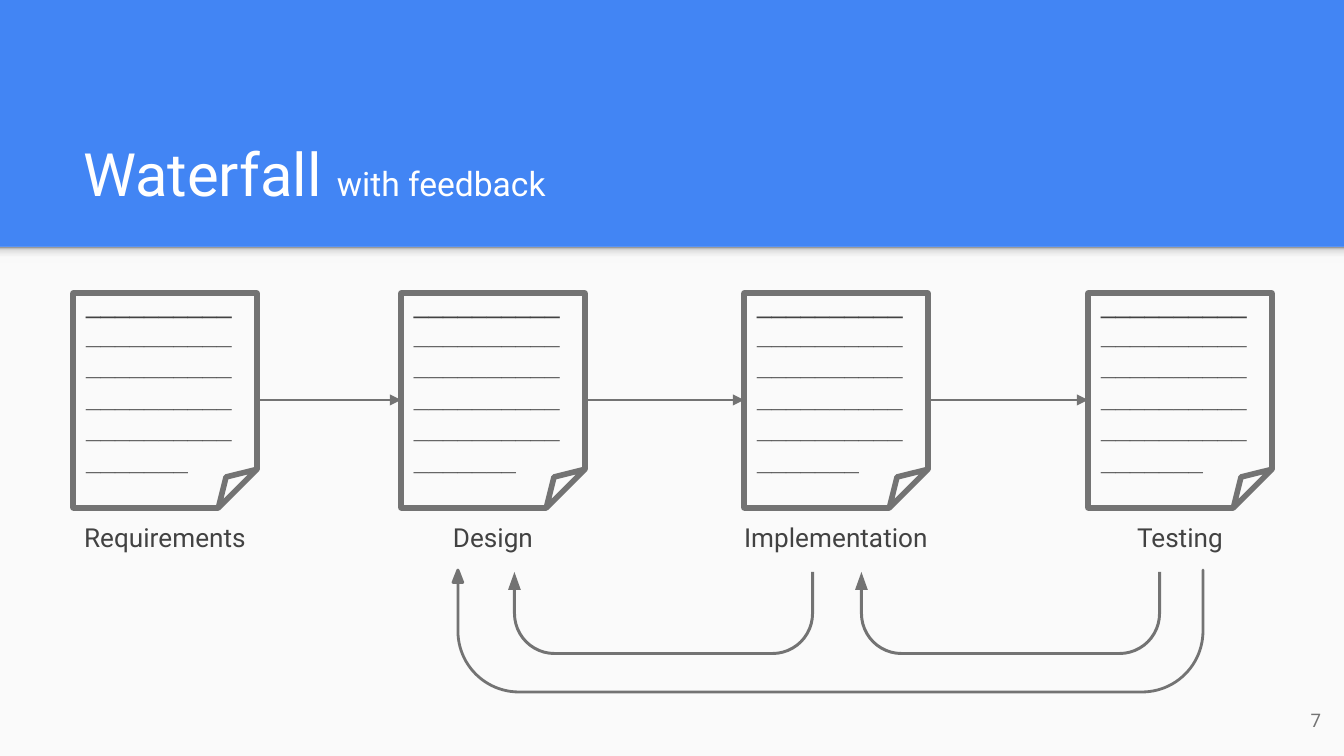
from copy import deepcopy
from itertools import pairwise

from pptx import Presentation
from pptx.dml.color import RGBColor
from pptx.enum.shapes import MSO_CONNECTOR as Link, MSO_SHAPE as Kind
from pptx.enum.text import MSO_ANCHOR as Anchor, MSO_AUTO_SIZE as Auto, PP_ALIGN as Align
from pptx.oxml.ns import qn
from pptx.oxml.xmlchemy import OxmlElement as Node
from pptx.util import Pt

PX = 914400 / 134.4
BLUE = RGBColor(0x42, 0x85, 0xF4)
PAPER = RGBColor(0xFA, 0xFA, 0xFA)
WHITE = RGBColor(0xFF, 0xFF, 0xFF)
GREY = RGBColor(0x73, 0x73, 0x73)
INK = RGBColor(0x42, 0x42, 0x42)
PALE = RGBColor(0xF9, 0xF9, 0xF9)
MIST = RGBColor(0xDE, 0xDE, 0xDE)
SHADE = RGBColor(0x99, 0x99, 0x99)

WIDE, HIGH = 1344, 756
DOC_W, DOC_H = 184, 215
STEPS = [
    (73, "Requirements", 207),
    (401, "Design", 207),
    (744, "Implementation", 238),
    (1088, "Testing", 207),
]
SMALL = {"adj1": 3600, "adj2": 7700, "adj3": 21600, "adj4": 50000, "adj5": 100000}
LARGE = {**SMALL, "adj1": 0, "adj2": 4000, "adj3": 10200}
LOOPS = [
    ((508, 572, 306, 83), SMALL, None),
    ((855, 572, 306, 83), SMALL, None),
    ((453, 570, 750, 122), LARGE, 1.5),
]


def emu(*vals):
    """Turn px into EMU."""
    return [round(v * PX) for v in vals]


def write(shape, *runs, font="Roboto", color=INK, align=Align.LEFT, anchor=Anchor.TOP):
    """Fill a shape with runs given as (text, size, bold)."""
    frame = shape.text_frame
    frame.word_wrap = True
    frame.auto_size = Auto.NONE
    frame.vertical_anchor = anchor
    inset, = emu(13)
    frame.margin_left = frame.margin_right = inset
    frame.margin_top = frame.margin_bottom = inset
    para = frame.paragraphs[0]
    para.alignment = align
    for text, size, bold in runs:
        run = para.add_run()
        run.text = text
        run.font.name = font
        run.font.size = Pt(size)
        run.font.bold = bold
        run.font.color.rgb = color


def draw(shapes, kind, box, fill=None, line=None):
    """Add a flat preset shape."""
    shape = shapes.add_shape(kind, *emu(*box))
    shape.shadow.inherit = False
    if fill is None:
        shape.fill.background()
    else:
        shape.fill.solid()
        shape.fill.fore_color.rgb = fill
    if line is None:
        shape.line.fill.background()
    else:
        shape.line.color.rgb = GREY
        shape.line.width = Pt(line)
    return shape


def bend(shape, **vals):
    """Set the named guides of a preset shape."""
    guides = shape.element.spPr.find(".//" + qn("a:avLst"))
    for old in list(guides):
        guides.remove(old)
    for name, val in vals.items():
        guide = Node("a:gd")
        guide.set("name", name)
        guide.set("fmla", f"val {val}")
        guides.append(guide)


def panel(slide, box):
    """Draw the pale body with a soft shadow along its top edge."""
    left, top, wide, _ = box
    draw(slide.shapes, Kind.RECTANGLE, box, PAPER)
    edge = draw(slide.shapes, Kind.RECTANGLE, (left, top, wide, 16))
    edge.fill.gradient()
    edge.fill.gradient_angle = 90
    stops = edge.element.spPr.find(".//" + qn("a:gsLst"))
    for _ in range(2):
        stops.append(deepcopy(stops[0]))
    marks = [(0, PALE), (0.36, PALE), (0.8, MIST), (1, SHADE)]
    for stop, (place, color) in zip(edge.fill.gradient_stops, marks):
        stop.position = place
        stop.color.rgb = color


def head(slide, box):
    """Place the title."""
    title = slide.shapes.title
    title.left, title.top, title.width, title.height = emu(*box)
    write(title, ("Waterfall ", 32, False), ("with feedback", 18, False),
          color=WHITE, anchor=Anchor.BOTTOM)


def step(slide, box, name, span):
    """Draw a ruled document with its name centred below."""
    left, top, wide, high = box
    group = slide.shapes.add_group_shape()
    page = draw(group.shapes, Kind.FOLDED_CORNER, box, line=3)
    bend(page, adj=21000)
    write(page, ("_" * 10, 14, False), ("_" * 47, 14, True),
          font="Arial", anchor=Anchor.MIDDLE)
    mid = left + wide / 2
    label = group.shapes.add_textbox(*emu(mid - span / 2, top + high, span, 59))
    write(label, (name, 14, False), align=Align.CENTER)


def arrow(slide, start, end, y):
    """Draw a level arrow from start to end."""
    link = slide.shapes.add_connector(Link.STRAIGHT, *emu(start, y, end, y))
    link.line.color.rgb = GREY
    link.line.width = Pt(1.5)
    tip = Node("a:tailEnd")
    tip.set("type", "triangle")
    props = link.element.spPr
    props.find(qn("a:ln")).append(tip)
    props.append(Node("a:effectLst"))


def flow(slide, top):
    """Draw the four steps and the arrows between them."""
    for left, name, span in STEPS:
        step(slide, (left, top, DOC_W, DOC_H), name, span)
    for (left, *_), (right, *_) in pairwise(STEPS):
        arrow(slide, left + DOC_W, right, top + DOC_H // 2)


def loop(slide, box, form, line):
    """Draw a feedback arrow that turns back to an earlier step."""
    turn = draw(slide.shapes, Kind.U_TURN_ARROW, box, GREY, line)
    turn.rotation = 180
    bend(turn, **form)


def number(slide, box):
    """Write the page number."""
    write(slide.shapes.add_textbox(*emu(*box)), ("7", 10, False),
          color=GREY, align=Align.RIGHT, anchor=Anchor.MIDDLE)


def main():
    """Build and save the slide."""
    deck = Presentation()
    deck.slide_width, deck.slide_height = emu(WIDE, HIGH)
    slide = deck.slides.add_slide(deck.slide_layouts[5])
    back = slide.background.fill
    back.solid()
    back.fore_color.rgb = BLUE
    panel(slide, (0, 247, WIDE, HIGH - 247))
    head(slide, (70, 109, 1208, 113))
    flow(slide, 293)
    for box, form, line in LOOPS:
        loop(slide, box, form, line)
    number(slide, (1253, 691, 81, 58))
    deck.save("out.pptx")


if __name__ == "__main__":
    main()
